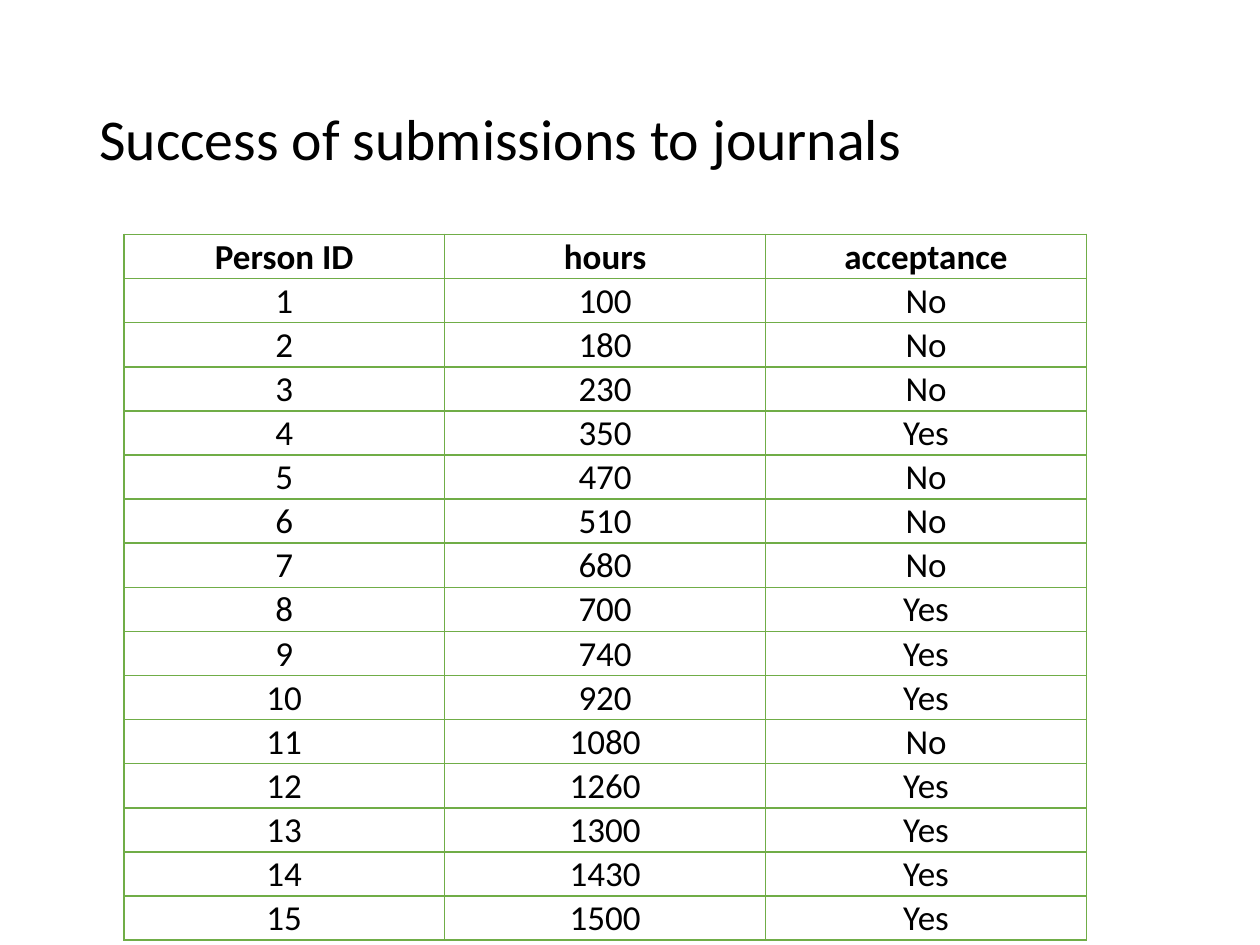
from lxml.etree import SubElement
from pptx import Presentation
from pptx.dml.color import RGBColor
from pptx.enum.text import MSO_ANCHOR, MSO_AUTO_SIZE, PP_ALIGN
from pptx.oxml.ns import qn
from pptx.util import Pt

COLOURS = {"text": "000000", "border": "70AD47"}
FONT = "Calibri"
TITLE_ONLY = 5

HEADER = ("Person ID", "hours", "acceptance")
HOURS = (100, 180, 230, 350, 470, 510, 680, 700,
         740, 920, 1080, 1260, 1300, 1430, 1500)
ACCEPTED = {4, 8, 9, 10, 12, 13, 14, 15}


def set_all(target, values):
    for name, value in values.items():
        setattr(target, name, value)


class SlideBuilder:
    def __init__(self, deck):
        self.page = deck.slides.add_slide(deck.slide_layouts[TITLE_ONLY])

    def add_span(self, para, text, size, bold=False):
        span = para.add_run()
        span.text = text
        set_all(span.font, {"name": FONT, "size": Pt(size), "bold": bold})
        span.font.color.rgb = RGBColor.from_string(COLOURS["text"])

    def title(self, text, left, top, width, height, size):
        box = self.page.shapes.title
        set_all(box, {"left": Pt(left), "top": Pt(top),
                      "width": Pt(width), "height": Pt(height)})
        set_all(box.text_frame, {"word_wrap": True,
                                 "auto_size": MSO_AUTO_SIZE.NONE,
                                 "vertical_anchor": MSO_ANCHOR.MIDDLE})
        para = box.text_frame.paragraphs[0]
        set_all(para, {"alignment": PP_ALIGN.LEFT, "line_spacing": 0.9})
        self.add_span(para, text, size)

    def border(self, cell, width):
        properties = cell._tc.get_or_add_tcPr()
        for index, side in enumerate(("a:lnL", "a:lnR", "a:lnT", "a:lnB")):
            line = SubElement(properties, qn(side), w=str(Pt(width)))
            fill = SubElement(line, qn("a:solidFill"))
            SubElement(fill, qn("a:srgbClr"), val=COLOURS["border"])
            properties.insert(index, line)  # lines come before the fill

    def table(self, rows, left, top, width, height, row_height, size):
        frame = self.page.shapes.add_table(
            len(rows), len(rows[0]), Pt(left), Pt(top), Pt(width), Pt(height))
        grid = frame.table
        set_all(grid, {"first_row": False, "horz_banding": False})
        for row_index, row in enumerate(rows):
            grid.rows[row_index].height = Pt(row_height)
            for column, text in enumerate(row):
                cell = grid.cell(row_index, column)
                anchor = MSO_ANCHOR.BOTTOM if column else MSO_ANCHOR.MIDDLE
                set_all(cell, {"margin_left": Pt(0.7), "margin_right": Pt(0.7),
                               "margin_top": Pt(0.7), "margin_bottom": 0,
                               "vertical_anchor": anchor})
                cell.fill.background()
                self.border(cell, 1)
                para = cell.text_frame.paragraphs[0]
                para.alignment = PP_ALIGN.CENTER
                self.add_span(para, text, size, bold=row_index == 0)
        frame.height = Pt(height)


def main():
    deck = Presentation()
    set_all(deck, {"slide_width": Pt(720), "slide_height": Pt(540)})
    slide = SlideBuilder(deck)

    # Title
    slide.title("Success of submissions to journals", 49.5, 28.75, 621, 104.4, 33)

    # Hours spent and outcome for each person
    people = [(str(person), str(hours), "Yes" if person in ACCEPTED else "No")
              for person, hours in enumerate(HOURS, start=1)]
    slide.table([HEADER, *people], 70.75, 134, 550.2, 391.7, 20.9, 20)

    deck.save("out.pptx")


if __name__ == "__main__":
    main()
